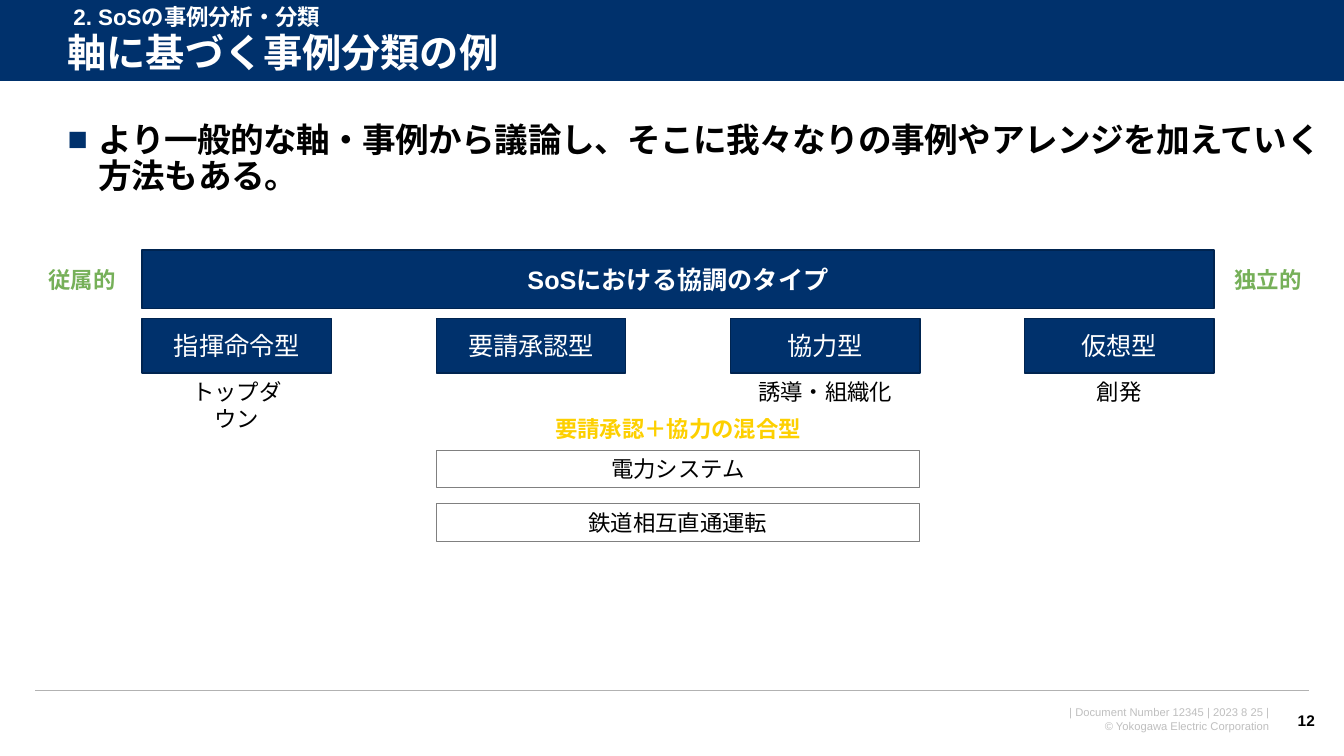
from collections import namedtuple
from dataclasses import dataclass

from lxml import etree
from pptx import Presentation
from pptx.dml.color import RGBColor
from pptx.enum import lang, shapes, text
from pptx.oxml import ns
from pptx.util import Inches, Pt

Box = namedtuple("Box", "x y w h")
LEFT, CENTER, RIGHT = text.PP_ALIGN.LEFT, text.PP_ALIGN.CENTER, text.PP_ALIGN.RIGHT
TOP, MIDDLE = text.MSO_ANCHOR.TOP, text.MSO_ANCHOR.MIDDLE


@dataclass(frozen=True)
class Theme:
    font: str = "Arial"
    navy: str = "00316C"
    navy_edge: str = "002450"
    white: str = "FFFFFF"
    black: str = "000000"
    green: str = "76B059"
    yellow: str = "FDD000"
    box_edge: str = "808080"
    rule: str = "B2B2B2"
    footer: str = "BFBFBF"
    title: int = 28
    lead: int = 24
    heading: int = 18
    label: int = 16
    number: int = 11
    small: int = 8


T = Theme()
LABEL_H = 0.37


# Shared helpers
def place(sp, box):
    sp.left, sp.top, sp.width, sp.height = (Inches(v) for v in box)


def sub(parent, tag, **attrs):
    return etree.SubElement(parent, ns.qn(tag), attrs)


def write(sp, lines, size, color, bold=False, align=CENTER, anchor=TOP, wrap=True):
    tf = sp.text_frame
    tf.auto_size = text.MSO_AUTO_SIZE.NONE
    tf.word_wrap = wrap
    tf.vertical_anchor = anchor
    for i, line in enumerate(lines):
        p = tf.add_paragraph() if i else tf.paragraphs[0]
        p.alignment = align
        r = p.add_run()
        r.text = line
        f = r.font
        f.name, f.size, f.bold = T.font, Pt(size), bold
        f.color.rgb = RGBColor.from_string(color)
        f.language_id = lang.MSO_LANGUAGE_ID.JAPANESE
        sub(r._r.get_or_add_rPr(), "a:ea", typeface=T.font)
    return tf


def add_text(s, box, *lines, **style):
    sp = s.shapes.add_textbox(*(Inches(v) for v in box))
    return write(sp, lines, **style)


def add_rect(s, box, fill=None, edge=None, weight=1.0):
    sp = s.shapes.add_shape(shapes.MSO_SHAPE.RECTANGLE, *(Inches(v) for v in box))
    sp.shadow.inherit = False
    if fill:
        sp.fill.solid()
        sp.fill.fore_color.rgb = RGBColor.from_string(fill)
    else:
        sp.fill.background()
    if edge:
        sp.line.color.rgb = RGBColor.from_string(edge)
        sp.line.width = Pt(weight)
    else:
        sp.line.fill.background()
    return sp


def add_rule(s, x, y, w, color, weight):
    line = s.shapes.add_connector(shapes.MSO_CONNECTOR.STRAIGHT,
                                  Inches(x), Inches(y), Inches(x + w), Inches(y))
    line.line.color.rgb = RGBColor.from_string(color)
    line.line.width = Pt(weight)
    sub(line._element.spPr, "a:effectLst")


# Header band with section name and title
def header(s, box):
    band = add_rect(s, box, T.navy)
    s.shapes._spTree.insert(2, band._element)
    add_rule(s, box.x, box.y + box.h, box.w, T.white, 0.75)
    title = s.shapes.title
    place(title, Box(box.x + 0.57, box.y + 0.26, 12.47, 0.57))
    tf = write(title, ["軸に基づく事例分類の例"], T.title, T.white, True, LEFT, MIDDLE)
    tf.paragraphs[0].line_spacing = 0.9
    add_text(s, Box(box.x + 0.63, box.y - 0.02, 4.03, LABEL_H),
             "2. SoSの事例分析・分類",
             size=T.label, color=T.white, bold=True, align=LEFT)


# Lead statement
def lead(s, box):
    body = s.placeholders[1]
    place(body, box)
    p = body.text_frame.paragraphs[0]
    p.line_spacing, p.space_before = 0.9, Pt(0)
    pPr = p._p.get_or_add_pPr()
    pPr.set("marL", str(Inches(0.31)))
    pPr.set("indent", str(-Inches(0.31)))
    sub(sub(pPr, "a:buClr"), "a:srgbClr", val=T.navy)
    sub(pPr, "a:buFont", typeface=T.font)
    sub(pPr, "a:buChar", char="■")
    write(body, ["より一般的な軸・事例から議論し、そこに我々なりの事例やアレンジを加えていく方法もある。"],
          T.lead, T.black, True, LEFT)
    # Slightly tighter letters keep 加えていく on the first line
    p.runs[0]._r.get_or_add_rPr().set("spc", "-40")


# Axis of cooperation types with examples
def cooperation_axis(s, box):
    bar = add_rect(s, Box(box.x, box.y, box.w, 0.58), T.navy, T.navy_edge)
    write(bar, ["SoSにおける協調のタイプ"], T.heading, T.white, True, anchor=MIDDLE)

    # Ends of the axis
    for x, end in ((box.x - 1.08, "従属的"), (box.x + box.w + 0.05, "独立的")):
        add_text(s, Box(x, box.y + 0.11, 0.97, LABEL_H), end,
                 size=T.label, color=T.green, bold=True)

    # Types, evenly spaced under the bar
    types = (("指揮命令型", "トップダウン", 1.17), ("要請承認型", None, 0),
             ("協力型", "誘導・組織化", 1.88), ("仮想型", "創発", 1.17))
    type_w, type_h, type_y = 1.88, 0.54, box.y + 0.68
    step = (box.w - type_w) / (len(types) - 1)
    for i, (name, note, note_w) in enumerate(types):
        x = box.x + i * step
        sp = add_rect(s, Box(x, type_y, type_w, type_h), T.navy, T.navy_edge)
        write(sp, [name], T.heading, T.white, anchor=MIDDLE)
        if note:
            add_text(s, Box(x + (type_w - note_w) / 2, type_y + type_h, note_w, LABEL_H),
                     note, size=T.label, color=T.black)

    # Mixed type spanning the second and third types
    mixed_x, mixed_w = box.x + step, step + type_w
    add_text(s, Box(mixed_x, box.y + 1.59, mixed_w, LABEL_H), "要請承認＋協力の混合型",
             size=T.label, color=T.yellow, bold=True)
    for i, example in enumerate(("電力システム", "鉄道相互直通運転")):
        sp = add_rect(s, Box(mixed_x, box.y + 1.99 + i * 0.53, mixed_w, LABEL_H),
                      edge=T.box_edge, weight=0.75)
        write(sp, [example], T.label, T.black)


# Footer rule, document line and page number
def footer(s, box):
    add_rule(s, box.x, box.y, box.w, T.rule, 1)
    add_text(s, Box(box.x + 9.13, box.y + 0.1, 3.21, LABEL_H),
             "| Document Number 12345 | 2023 8 25 |", "© Yokogawa Electric Corporation",
             size=T.small, color=T.footer, align=RIGHT)
    add_text(s, Box(box.x + 12.35, box.y + 0.1, 0.44, 0.4), "12", size=T.number,
             color=T.black, bold=True, align=RIGHT, anchor=MIDDLE, wrap=False)


def main():
    prs = Presentation()
    prs.slide_width, prs.slide_height = Inches(13.33), Inches(7.5)
    s = prs.slides.add_slide(prs.slide_layouts[1])
    header(s, Box(0, 0, 13.33, 0.81))
    lead(s, Box(0.57, 1.17, 12.69, 0.57))
    cooperation_axis(s, Box(1.41, 2.48, 10.63, 2.9))
    footer(s, Box(0.35, 6.85, 12.63, 0.5))
    prs.save("out.pptx")


if __name__ == "__main__":
    main()
